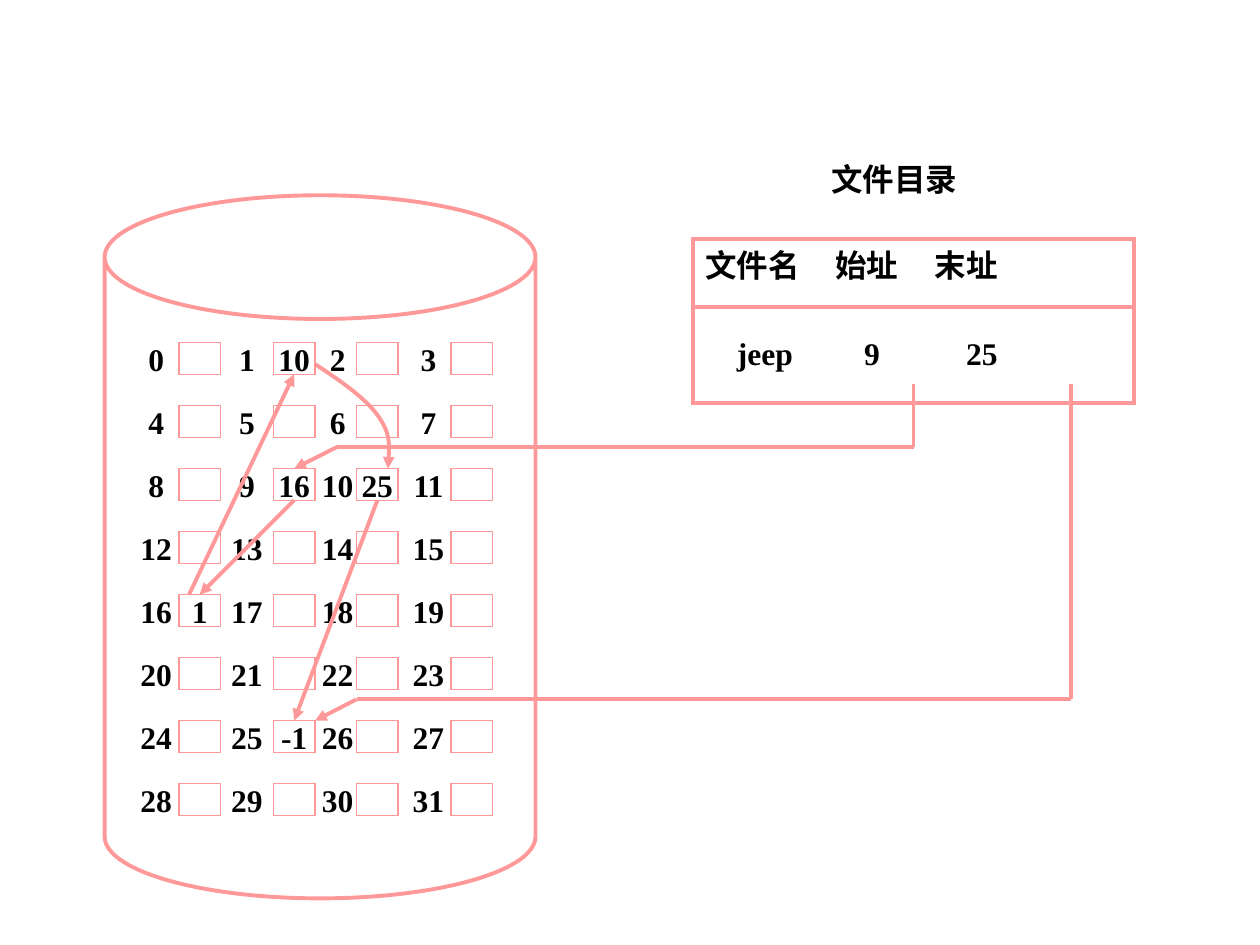
from lxml import etree
from pptx import Presentation
from pptx.dml.color import RGBColor
from pptx.enum.shapes import MSO_CONNECTOR, MSO_SHAPE
from pptx.enum.text import MSO_ANCHOR, PP_ALIGN
from pptx.oxml.ns import qn
from pptx.util import Inches, Pt

RECTANGLE, CYLINDER = MSO_SHAPE.RECTANGLE, MSO_SHAPE.CAN
STRAIGHT = MSO_CONNECTOR.STRAIGHT
TOP, MIDDLE = MSO_ANCHOR.TOP, MSO_ANCHOR.MIDDLE
LEFT, CENTER = PP_ALIGN.LEFT, PP_ALIGN.CENTER
TOP_SITE, BOTTOM_SITE = 0, 2

COLORS = {"line": "FF9999", "text": "000000"}
FONT = "Times New Roman"
THICK, THIN = 2.25, 0.75

# Disk block grid
ROWS, COLUMNS = 8, 4
GRID_TOP, ROW_STEP = 2.72, 0.5
LABEL_LEFT, LABEL_STEP, LABEL_WIDTH = 1, 0.72, 0.48
CELL_LEFTS = [1.42, 2.17, 2.83, 3.58]
CELL_WIDTH, CELL_HEIGHT = 0.33, 0.25
NEXT_BLOCK = {1: "10", 9: "16", 10: "25", 16: "1", 25: "-1"}


def style_line(shape, width):
    shape.line.color.rgb = RGBColor.from_string(COLORS["line"])
    shape.line.width = Pt(width)


def add_arrowhead(shape):
    line = shape.line._get_or_add_ln()
    etree.SubElement(line, qn("a:tailEnd"), type="triangle")


def write_text(box, fields, align=LEFT, anchor=TOP, wrap=True, tabs=()):
    """Write fields into one paragraph, parted by tab stops."""
    frame = box.text_frame
    frame.word_wrap = wrap
    frame.vertical_anchor = anchor
    para = frame.paragraphs[0]
    para.alignment = align
    if tabs:
        tab_list = etree.SubElement(para._p.get_or_add_pPr(), qn("a:tabLst"))
        for stop in tabs:
            etree.SubElement(tab_list, qn("a:tab"), pos=str(Inches(stop)), algn="l")
    span = para.add_run()
    span.text = "\t".join(fields)
    span.font.name = FONT
    span.font.size = Pt(18)
    span.font.bold = True
    span.font.color.rgb = RGBColor.from_string(COLORS["text"])


def add_outline(page, kind, left, top, width, height, line_width=THICK):
    shape = page.shapes.add_shape(
        kind, Inches(left), Inches(top), Inches(width), Inches(height))
    shape.shadow.inherit = False
    shape.fill.background()
    style_line(shape, line_width)
    etree.SubElement(shape.line._get_or_add_ln(), qn("a:miter"), lim="800000")
    return shape


def add_label(page, left, top, width, height, fields, **layout):
    box = page.shapes.add_textbox(
        Inches(left), Inches(top), Inches(width), Inches(height))
    write_text(box, fields, **layout)


def add_line(page, start, end, arrow=False, begin_cell=None, end_cell=None):
    line = page.shapes.add_connector(
        STRAIGHT, *(Inches(value) for value in (*start, *end)))
    style_line(line, THICK)
    if begin_cell is not None:
        line.begin_connect(begin_cell, BOTTOM_SITE)
    if end_cell is not None:
        cell, site = end_cell
        line.end_connect(cell, site)
    if arrow:
        add_arrowhead(line)
    etree.SubElement(line._element.spPr, qn("a:effectLst"))


def add_curved_arrow(page, start, points):
    """Draw Bezier segments; every three points make one segment."""
    # The builder rounds to whole units, so lengths go in as EMU
    builder = page.shapes.build_freeform(*(Inches(value) for value in start))
    builder.add_line_segments(
        [(Inches(x), Inches(y)) for x, y in points], close=False)
    curve = builder.convert_to_shape()
    outline = next(curve._element.iter(qn("a:path")))
    steps = outline.findall(qn("a:lnTo"))
    for first in range(0, len(steps), 3):
        segment = etree.SubElement(outline, qn("a:cubicBezTo"))
        for step in steps[first:first + 3]:
            segment.append(step[0])
            outline.remove(step)
    curve.shadow.inherit = False
    curve.fill.background()
    style_line(curve, THICK)
    add_arrowhead(curve)


def add_directory(page):
    header = add_outline(page, RECTANGLE, 5.5, 1.9, 3.5, 0.54)
    write_text(header, ["文件名", "始址", "末址"], tabs=(1.03, 1.82))
    add_outline(page, RECTANGLE, 5.5, 2.44, 3.5, 0.76)
    add_label(page, 5.75, 2.6, 3.01, 0.5, ["jeep", "9", "25"], tabs=(1.01, 1.82))
    add_label(page, 6.5, 1.22, 1.55, 0.5, ["文件目录"])


def add_blocks(page):
    """Add block numbers, then cells; return the cells by block number."""
    centered = {"align": CENTER, "anchor": MIDDLE, "wrap": False}
    for block in range(ROWS * COLUMNS):
        row, column = divmod(block, COLUMNS)
        add_label(page, LABEL_LEFT + column * LABEL_STEP, GRID_TOP + row * ROW_STEP,
                  LABEL_WIDTH, CELL_HEIGHT, [str(block)], **centered)
    cells = {}
    for column, left in enumerate(CELL_LEFTS):
        for row in range(ROWS):
            block = row * COLUMNS + column
            cells[block] = add_outline(page, RECTANGLE, left, GRID_TOP + row * ROW_STEP,
                                       CELL_WIDTH, CELL_HEIGHT, THIN)
            if block in NEXT_BLOCK:
                write_text(cells[block], [NEXT_BLOCK[block]], **centered)
    return cells


def add_links(page, cells):
    # Start address to block 9
    add_line(page, (7.25, 3.05), (7.25, 3.55))
    add_line(page, (2.67, 3.55), (7.25, 3.55))
    add_line(page, (2.67, 3.55), (2.33, 3.72), True, end_cell=(cells[9], TOP_SITE))
    # Chain 9, 16, 1, 10, 25
    add_line(page, (2.33, 3.97), (1.58, 4.72), True, cells[9], (cells[16], TOP_SITE))
    add_line(page, (1.5, 4.72), (2.33, 2.97), True, end_cell=(cells[1], BOTTOM_SITE))
    add_curved_arrow(page, (2.5, 2.89), [
        (2.7, 3.02), (2.9, 3.16), (3, 3.3), (3.1, 3.44), (3.09, 3.58), (3.08, 3.72)])
    add_line(page, (3, 3.97), (2.33, 5.72), True, cells[10], (cells[25], TOP_SITE))
    # End address to block 25
    add_line(page, (8.5, 3.05), (8.5, 5.55))
    add_line(page, (2.83, 5.55), (8.5, 5.55))
    add_line(page, (2.83, 5.55), (2.5, 5.72), True)


def main():
    deck = Presentation()
    deck.slide_width, deck.slide_height = Inches(10), Inches(7.5)
    page = deck.slides.add_slide(deck.slide_layouts[6])
    disk = add_outline(page, CYLINDER, 0.83, 1.55, 3.42, 5.58)
    disk.adjustments[0] = 0.287
    add_directory(page)
    cells = add_blocks(page)
    add_links(page, cells)
    deck.save("out.pptx")


if __name__ == "__main__":
    main()
